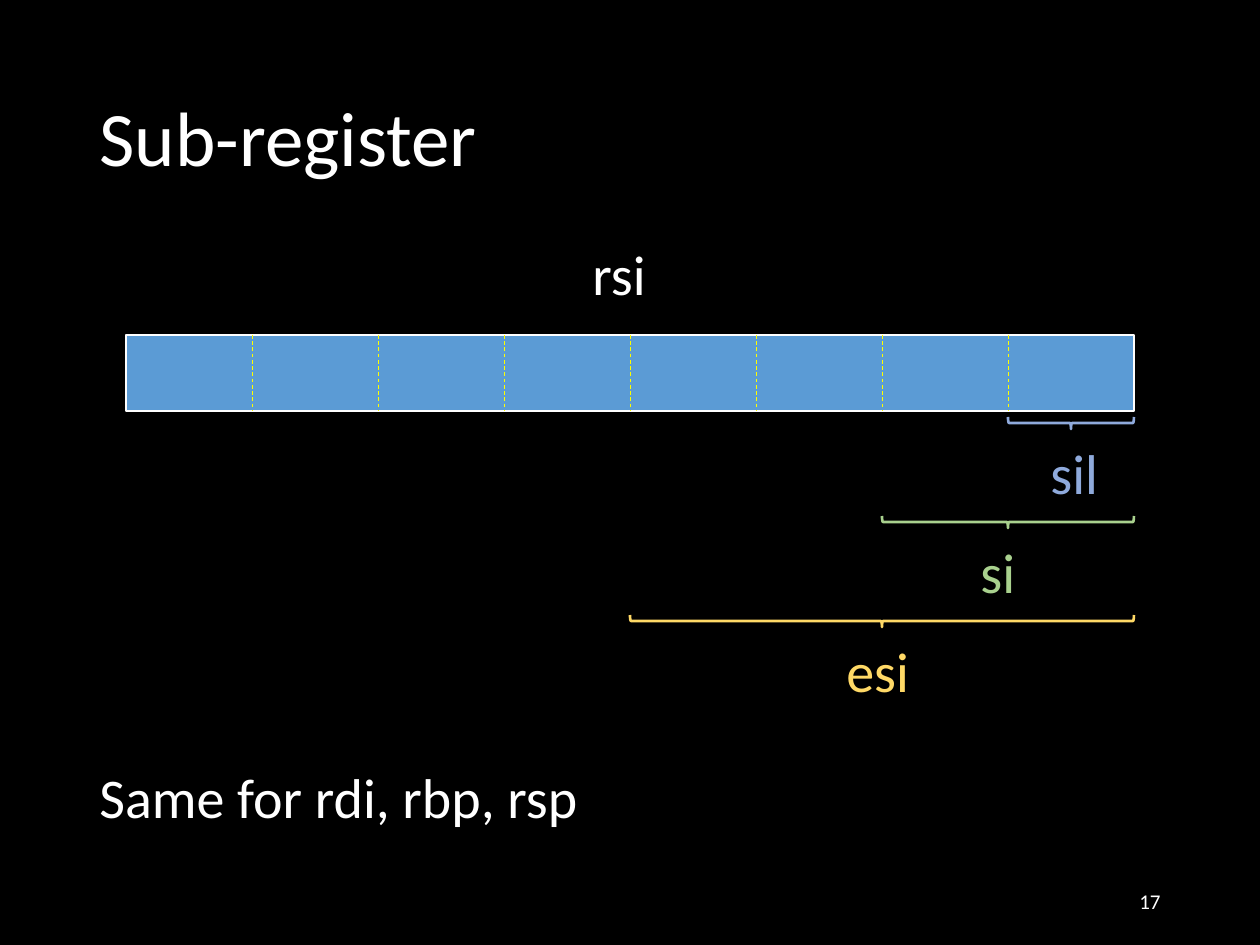
"""Build the sub-register slide: a 64-bit register split into bytes with braces for its parts."""
from lxml import etree
from pptx import Presentation, util as u
from pptx.dml.color import RGBColor
from pptx.enum import dml, shapes, text
from pptx.oxml.ns import qn

C = {"bg": "000000", "text": "FFFFFF", "bar": "5B9BD5", "dash": "FFFF00",
     "sil": "8FAADC", "si": "A9D18E", "esi": "FFD966"}
BYTE, RIGHT, BAR_TOP, BAR_H = 126, 1134, 335, 76


def px(n):
    return u.Emu(round(n * 914400 / 126))


def write(sp, words, size, color="text", align=text.PP_ALIGN.LEFT,
          anchor=text.MSO_ANCHOR.TOP, wrap=False):
    tf = sp.text_frame
    tf.text = words
    tf.word_wrap = wrap
    tf.vertical_anchor = anchor
    p = tf.paragraphs[0]
    p.alignment = align
    p.font.size = u.Pt(size)
    p.font.name = "Calibri"
    p.font.color.rgb = RGBColor.from_string(C[color])
    return p


prs = Presentation()
prs.slide_width, prs.slide_height = px(1260), px(945)
s = prs.slides.add_slide(prs.slide_layouts[5])
s.background.fill.solid()
s.background.fill.fore_color.rgb = RGBColor.from_string(C["bg"])

title = s.shapes.title
title.left, title.top, title.width, title.height = px(87), px(50), px(1086), px(183)
p = write(title, "Sub-register", 44, anchor=text.MSO_ANCHOR.MIDDLE, wrap=True)
p.line_spacing = 0.9

number = s.shapes.add_textbox(px(890), px(876), px(283), px(50))
write(number, "17", 12, align=text.PP_ALIGN.RIGHT, anchor=text.MSO_ANCHOR.MIDDLE, wrap=True)

for words, color, left, top, width in [
    ("rsi", "text", 580, 233, 82),
    ("esi", "esi", 834, 630, 91),
    ("si", "si", 968, 531, 62),
    ("sil", "sil", 1038, 432, 74),
    ("Same for rdi, rbp, rsp", "text", 87, 756, 536),
]:
    label = s.shapes.add_textbox(px(left), px(top), px(width), px(81))
    write(label, words, 32, color)
    label.text_frame.auto_size = text.MSO_AUTO_SIZE.SHAPE_TO_FIT_TEXT

for i, (name, count) in enumerate([("sil", 1), ("si", 2), ("esi", 4)]):
    span, mid_y = count * BYTE, 423 + 99 * i
    brace = s.shapes.add_shape(shapes.MSO_SHAPE.LEFT_BRACE, px(RIGHT - span / 2 - 6),
                               px(mid_y - span / 2), px(12), px(span))
    brace.rotation = 270
    brace.shadow.inherit = False
    brace.fill.background()
    brace.line.color.rgb = RGBColor.from_string(C[name])
    brace.line.width = u.Pt(1.5)

register = s.shapes.add_group_shape()
bar = register.shapes.add_shape(shapes.MSO_SHAPE.RECTANGLE, px(BYTE), px(BAR_TOP),
                                px(8 * BYTE), px(BAR_H))
bar.shadow.inherit = False
bar.fill.solid()
bar.fill.fore_color.rgb = RGBColor.from_string(C["bar"])
bar.line.color.rgb = RGBColor.from_string(C["text"])
bar.line.width = u.Pt(1.5)

for i in range(2, 9):
    divider = register.shapes.add_connector(shapes.MSO_CONNECTOR.STRAIGHT, px(i * BYTE),
                                            px(BAR_TOP), px(i * BYTE), px(BAR_TOP + BAR_H))
    divider.line.color.rgb = RGBColor.from_string(C["dash"])
    divider.line.width = u.Pt(0.5)
    divider.line.dash_style = dml.MSO_LINE.DASH
    etree.SubElement(divider._element.spPr, qn("a:effectLst"))

prs.save("out.pptx")
